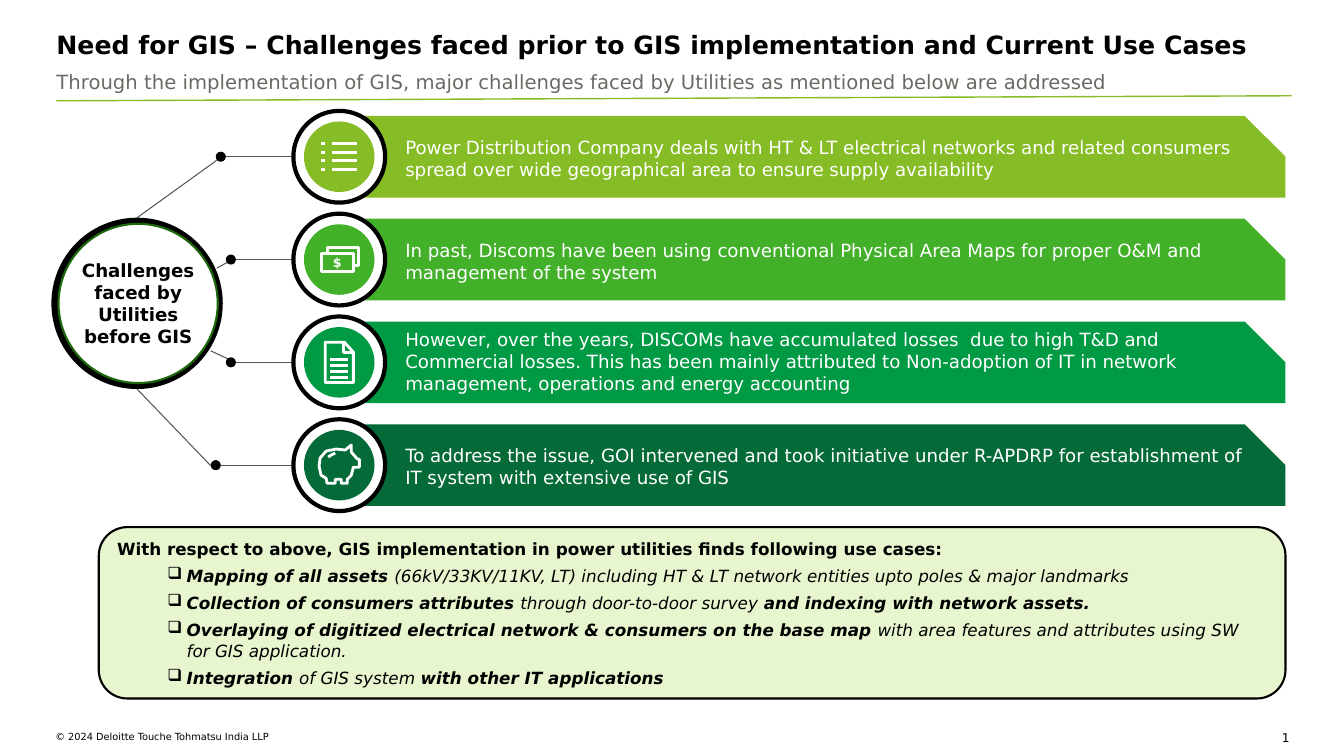
from lxml.etree import SubElement
from pptx import Presentation
from pptx.dml.color import RGBColor
from pptx.enum.shapes import MSO_CONNECTOR, MSO_SHAPE
from pptx.enum.text import MSO_ANCHOR, PP_ALIGN
from pptx.oxml.ns import qn
from pptx.util import Inches, Pt

COLORS = {
    "black": "000000", "white": "FFFFFF", "subtitle": "6A6A65", "rule": "86BC25",
    "spoke": "53565A", "hub edge": "1C670A", "panel": "E8F6CF",
    "lime": "86BC25", "green": "43B02A", "emerald": "009A44", "forest": "046A38",
}
FONT = "DejaVu Sans"

prs = Presentation()
prs.slide_width, prs.slide_height = Inches(13.33), Inches(7.5)
slide = prs.slides.add_slide(prs.slide_layouts[6])
shapes = slide.shapes


def draw(kind, box, fill=None, edge=None, weight=1, points=None):
    """Add a preset, a text box, a straight line or an open or closed outline."""
    if kind == "line":
        item = shapes.add_connector(MSO_CONNECTOR.STRAIGHT, *[Inches(v) for v in box])
        SubElement(item.element.spPr, qn("a:effectLst"))
    elif kind == "text":
        item = shapes.add_textbox(*[Inches(v) for v in box])
    elif kind in ("open", "closed"):
        # Outline points are hundredths of an inch around the centre in box
        outline = shapes.build_freeform(*points[0], scale=Inches(0.01))
        outline.add_line_segments(points[1:], close=kind == "closed")
        item = outline.convert_to_shape(*[Inches(v) for v in box])
    else:
        item = shapes.add_shape(kind, *[Inches(v) for v in box])
    if kind not in ("line", "text"):
        item.shadow.inherit = False
        if fill:
            item.fill.solid()
            item.fill.fore_color.rgb = RGBColor.from_string(COLORS[fill])
        else:
            item.fill.background()
    if edge:
        item.line.color.rgb = RGBColor.from_string(COLORS[edge])
        item.line.width = Pt(weight)
    elif kind != "line":
        item.line.fill.background()
    return item


def write(item, text, size, color, bold=False, align=PP_ALIGN.LEFT,
          anchor=MSO_ANCHOR.TOP, insets=(0, 0, 0, 0)):
    frame = item.text_frame
    frame.text = text
    frame.word_wrap = True
    frame.vertical_anchor = anchor
    frame.margin_left, frame.margin_top, frame.margin_right, frame.margin_bottom = [
        Inches(v) for v in insets]
    for paragraph in frame.paragraphs:
        paragraph.alignment = align
        for run in paragraph.runs:
            run.font.name, run.font.size, run.font.bold = FONT, Pt(size), bold
            run.font.color.rgb = RGBColor.from_string(COLORS[color])


# Heading and footer
write(draw("text", (0.56, 0.64, 12.62, 0.31)),
      "Through the implementation of GIS, major challenges faced by Utilities "
      "as mentioned below are addressed", 14, "subtitle", insets=(0, 0.05, 0, 0.05))
write(draw("text", (0.56, 0.29, 12.34, 0.46)),
      "Need for GIS – Challenges faced prior to GIS implementation and Current Use Cases",
      18, "black", bold=True)
draw("line", (0.56, 1, 12.81, 0.95), edge="rule")
write(draw("text", (0.55, 7.25, 5.86, 0.22)),
      "© 2024 Deloitte Touche Tohmatsu India LLP", 7, "black")
write(draw("text", (12.45, 7.25, 0.34, 0.11)), "1", 8.7, "black", align=PP_ALIGN.RIGHT)

# Challenges: colour, dot centre, spoke from hub, text
challenges = [
    ("lime", 2.19, (1.36, 2.16, 2.15, 1.59),
     "Power Distribution Company deals with HT & LT electrical networks and related "
     "consumers spread over wide geographical area to ensure supply availability"),
    ("green", 2.29, (2.15, 2.66, 2.26, 2.6),
     "In past, Discoms have been using conventional Physical Area Maps for proper O&M "
     "and management of the system"),
    ("emerald", 2.29, (2.09, 3.48, 2.26, 3.56),
     "However, over the years, DISCOMs have accumulated losses  due to high T&D and "
     "Commercial losses. This has been mainly attributed to Non-adoption of IT in "
     "network management, operations and energy accounting"),
    ("forest", 2.14, (1.36, 3.86, 2.09, 4.62),
     "To address the issue, GOI intervened and took initiative under R-APDRP for "
     "establishment of IT system with extensive use of GIS"),
]

# White icon strokes per challenge: list, banknotes, document, piggy bank
icons = [
    [stroke for y in (-13, -4, 4, 13)
     for stroke in (("line", [(-18, y), (-14, y)]), ("line", [(-7, y), (18, y)]))],
    [("closed", [(-18, -6.5), (13.5, -6.5), (13.5, 11.5), (-18, 11.5)]),
     ("open", [(-11.5, -6.5), (-11.5, -11.5), (19, -11.5), (19, 5.5), (13.5, 5.5)])],
    [("closed", [(-14.5, -20), (5, -20), (14.5, -10.5), (14.5, 20.5), (-14.5, 20.5)]),
     ("open", [(4.5, -20), (4.5, -10.5), (14.5, -10.5)])]
    + [("line", [(-9, y), (9, y)]) for y in (-3, 3, 9, 15)],
    [("closed", [(-20.5, 1), (-19, -7), (-13, -13.5), (-3, -16.5), (6, -15),
                 (12.5, -19.5), (12.5, -13), (17.5, -6.5), (20.5, -6.5), (20.5, 2.5),
                 (14.5, 2.5), (12, 10), (8.5, 14), (8.5, 17.5), (1.5, 17.5),
                 (1.5, 14.5), (-4.5, 14.5), (-4.5, 17.5), (-11.5, 17.5), (-13, 13),
                 (-17.5, 9.5)]),
     ("open", [(-11, -8), (-8, -10.5), (-4, -11.5)])],
]

ROW_PITCH, FIRST_ROW, ICON_X = 1.02, 1.555, 3.365
RING, DISC, DOT, BAR = 0.91, 0.7, 0.1, 0.81
for row, ((color, dot_x, spoke, text), strokes) in enumerate(zip(challenges, icons)):
    y = FIRST_ROW + row * ROW_PITCH
    draw("line", spoke, edge="spoke", weight=0.75)
    draw("line", (dot_x, y, ICON_X - RING / 2, y), edge="spoke", weight=0.75)
    draw(MSO_SHAPE.OVAL, (dot_x - DOT / 2, y - DOT / 2, DOT, DOT), "black")

    bar = draw(MSO_SHAPE.SNIP_1_RECTANGLE, (3.32, y - BAR / 2, 9.43, BAR), color)
    bar.adjustments[0] = 0.5
    # The three-line text is lifted so that it fits the bar
    three_lines = color == "emerald"
    write(bar, text, 13, "white",
          anchor=MSO_ANCHOR.MIDDLE if three_lines else MSO_ANCHOR.TOP,
          insets=(0.7, 0, 0.12, 0.22 if three_lines else 0))

    for size, fill, edge in ((RING, "white", "black"), (DISC, color, None)):
        draw(MSO_SHAPE.OVAL, (ICON_X - size / 2, y - size / 2, size, size), fill, edge, 3)
    for kind, points in strokes:
        if kind == "line":
            (x1, y1), (x2, y2) = points
            draw(kind, (ICON_X + x1 / 100, y + y1 / 100, ICON_X + x2 / 100, y + y2 / 100),
                 edge="white", weight=2)
        else:
            draw(kind, (ICON_X, y), edge="white", weight=2, points=points)
    if color == "green":
        write(draw("text", (ICON_X - 0.12, y - 0.06, 0.2, 0.18)), "$", 9, "white",
              bold=True, align=PP_ALIGN.CENTER, anchor=MSO_ANCHOR.MIDDLE)

# Hub
draw(MSO_SHAPE.OVAL, (0.51, 2.16, 1.7, 1.7), "black")
write(draw(MSO_SHAPE.OVAL, (0.58, 2.22, 1.58, 1.58), "white", "hub edge", 1.5),
      "Challenges faced by Utilities before GIS", 13, "black", bold=True,
      align=PP_ALIGN.CENTER, anchor=MSO_ANCHOR.MIDDLE)

# Use cases: (text, bold) pieces of each bullet
use_cases = [
    [("Mapping of all assets ", True),
     ("(66kV/33KV/11KV, LT) including HT & LT network entities upto poles & major "
      "landmarks", False)],
    [("Collection of consumers attributes ", True), ("through door-to-door survey ", False),
     ("and indexing with network assets.", True)],
    [("Overlaying of digitized electrical network & consumers on the base map", True),
     (" with area features and attributes using SW for GIS application.", False)],
    [("Integration ", True), ("of GIS system ", False),
     ("with other IT applications", True)],
]
panel = draw(MSO_SHAPE.ROUNDED_RECTANGLE, (0.98, 5.23, 11.77, 1.7), "panel", "black", 1.5)
write(panel, "With respect to above, GIS implementation in power utilities finds "
      "following use cases:", 12, "black", bold=True, anchor=MSO_ANCHOR.MIDDLE,
      insets=(0.1, 0.1, 0.1, 0.1))
for pieces in use_cases:
    bullet = panel.text_frame.add_paragraph()
    bullet.alignment = PP_ALIGN.LEFT
    bullet.level = 1
    props = bullet._p.get_or_add_pPr()
    props.set("marL", str(Inches(0.69)))
    props.set("indent", str(Inches(-0.19)))
    SubElement(props, qn("a:buChar")).set("char", "❑")
    for text, bold in pieces:
        run = bullet.add_run()
        run.text = text
        run.font.name, run.font.size = FONT, Pt(12)
        run.font.bold, run.font.italic = bold, True
        run.font.color.rgb = RGBColor.from_string(COLORS["black"])
for paragraph in panel.text_frame.paragraphs:
    paragraph.line_spacing = 1.06
    paragraph.space_after = Pt(4)

prs.save("out.pptx")
